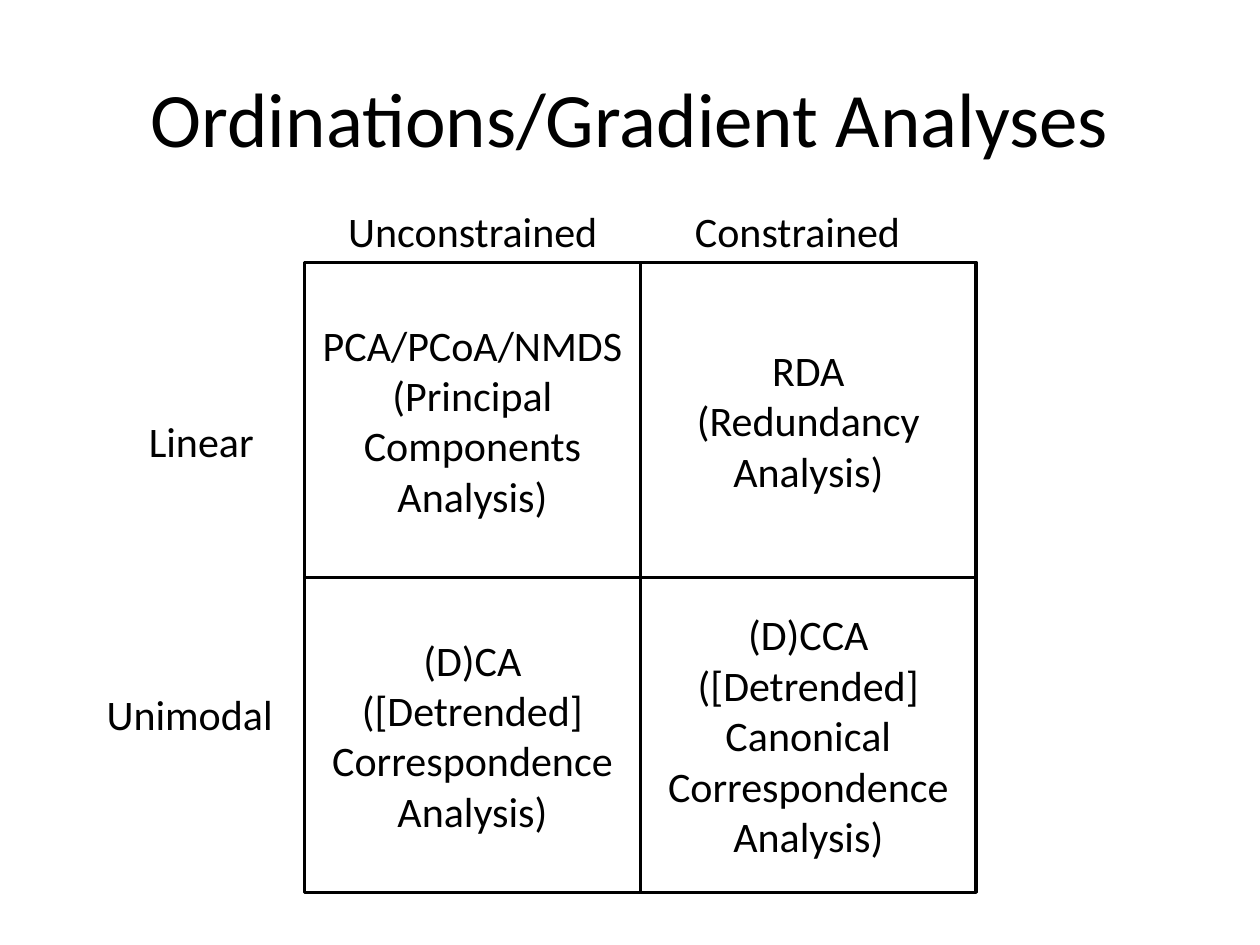
from pptx import Presentation
from pptx.dml.color import RGBColor
from pptx.enum.shapes import MSO_SHAPE as Shape
from pptx.enum.text import MSO_ANCHOR as Anchor, MSO_AUTO_SIZE as AutoSize, PP_ALIGN as Align
from pptx.util import Cm, Pt

COLORS = {"ink": "000000", "paper": "FFFFFF"}


class SlideBuilder:
    font_name = "Calibri"
    title_size = 44
    text_size = 24
    line_width = 2

    def __init__(self, slide):
        self.slide = slide

    def color(self, name):
        return RGBColor.from_string(COLORS[name])

    def set_text(self, frame, text, size, align):
        frame.text = text
        for paragraph in frame.paragraphs:
            paragraph.alignment = align
            paragraph.font.name = self.font_name
            paragraph.font.size = Pt(size)
            paragraph.font.color.rgb = self.color("ink")

    def title(self, text, left, top, width, height):
        title = self.slide.shapes.title
        title.left, title.top = Cm(left), Cm(top)
        title.width, title.height = Cm(width), Cm(height)
        title.text_frame.vertical_anchor = Anchor.MIDDLE
        self.set_text(title.text_frame, text, self.title_size, Align.CENTER)

    def label(self, text, left, top, width, height=1.27):
        box = self.slide.shapes.add_textbox(Cm(left), Cm(top), Cm(width), Cm(height))
        frame = box.text_frame
        frame.word_wrap = False
        frame.auto_size = AutoSize.SHAPE_TO_FIT_TEXT
        self.set_text(frame, text, self.text_size, Align.LEFT)

    def cell(self, text, left, top, width, height):
        cell = self.slide.shapes.add_shape(
            Shape.RECTANGLE, Cm(left), Cm(top), Cm(width), Cm(height))
        cell.shadow.inherit = False
        cell.fill.solid()
        cell.fill.fore_color.rgb = self.color("paper")
        cell.line.color.rgb = self.color("ink")
        cell.line.width = Pt(self.line_width)
        cell.text_frame.word_wrap = True
        cell.text_frame.vertical_anchor = Anchor.MIDDLE
        self.set_text(cell.text_frame, text, self.text_size, Align.CENTER)


GRID_LEFT, GRID_TOP = 6.14, 5.29
CELL_WIDTH, CELL_HEIGHT = 6.77, 6.35

LABELS = [
    ("Unconstrained", 6.77, 4.02, 5.6),
    ("Constrained", 13.76, 4.02, 4.7),
    ("Linear", 2.75, 8.26, 2.68),
    ("Unimodal", 1.9, 13.76, 3.9),
]

METHODS = [
    ["PCA/PCoA/NMDS\n(Principal Components Analysis)",
     "RDA\n(Redundancy Analysis)"],
    ["(D)CA\n([Detrended] Correspondence Analysis)",
     "(D)CCA\n([Detrended] Canonical Correspondence Analysis)"],
]

presentation = Presentation()
presentation.slide_width, presentation.slide_height = Cm(25.4), Cm(19.05)
builder = SlideBuilder(presentation.slides.add_slide(presentation.slide_layouts[5]))

builder.title("Ordinations/Gradient Analyses", 1.27, 0.76, 22.86, 3.18)
for label in LABELS:
    builder.label(*label)
for row, methods in enumerate(METHODS):
    for column, method in enumerate(methods):
        builder.cell(method, GRID_LEFT + column * CELL_WIDTH,
                     GRID_TOP + row * CELL_HEIGHT, CELL_WIDTH, CELL_HEIGHT)

presentation.save("out.pptx")
